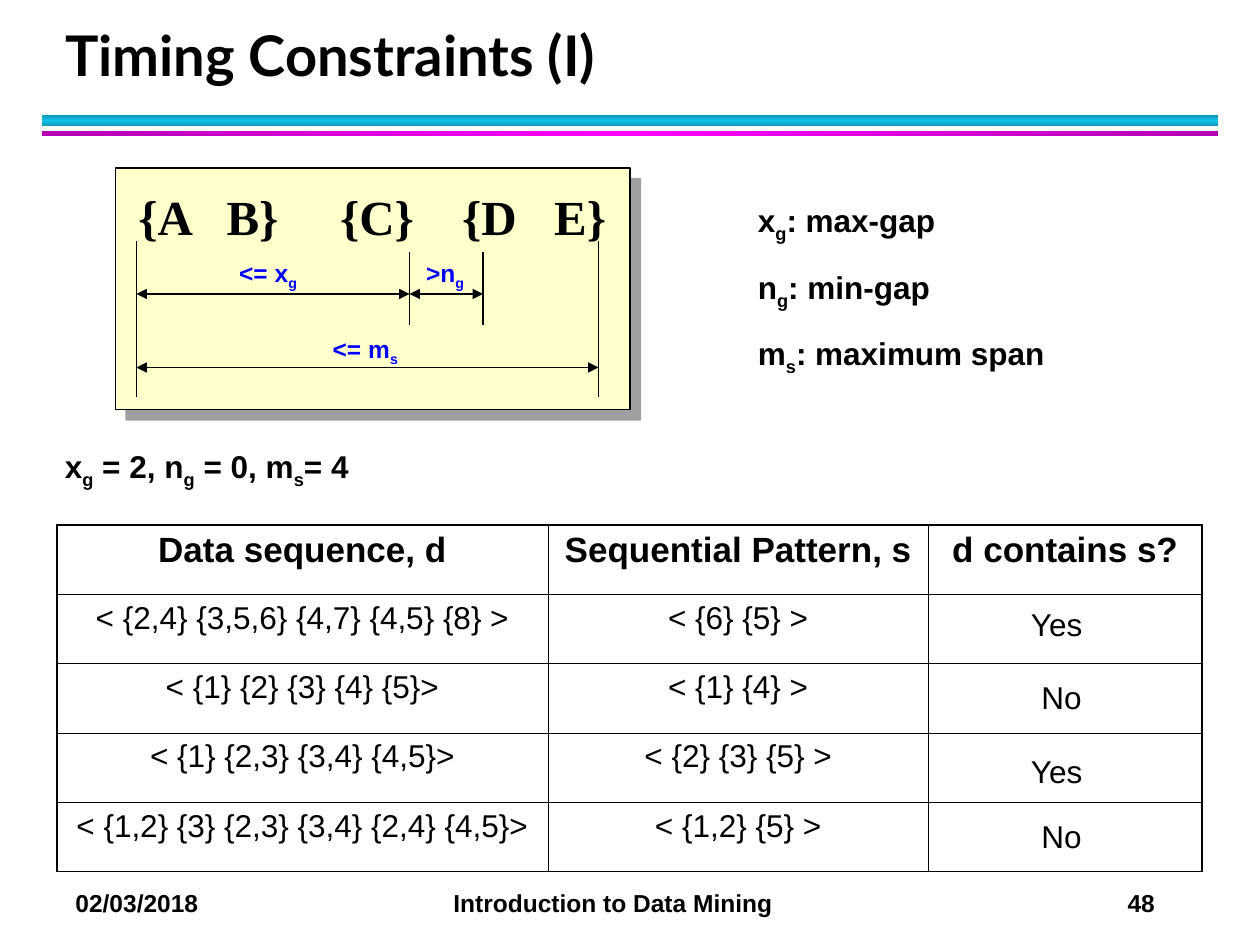
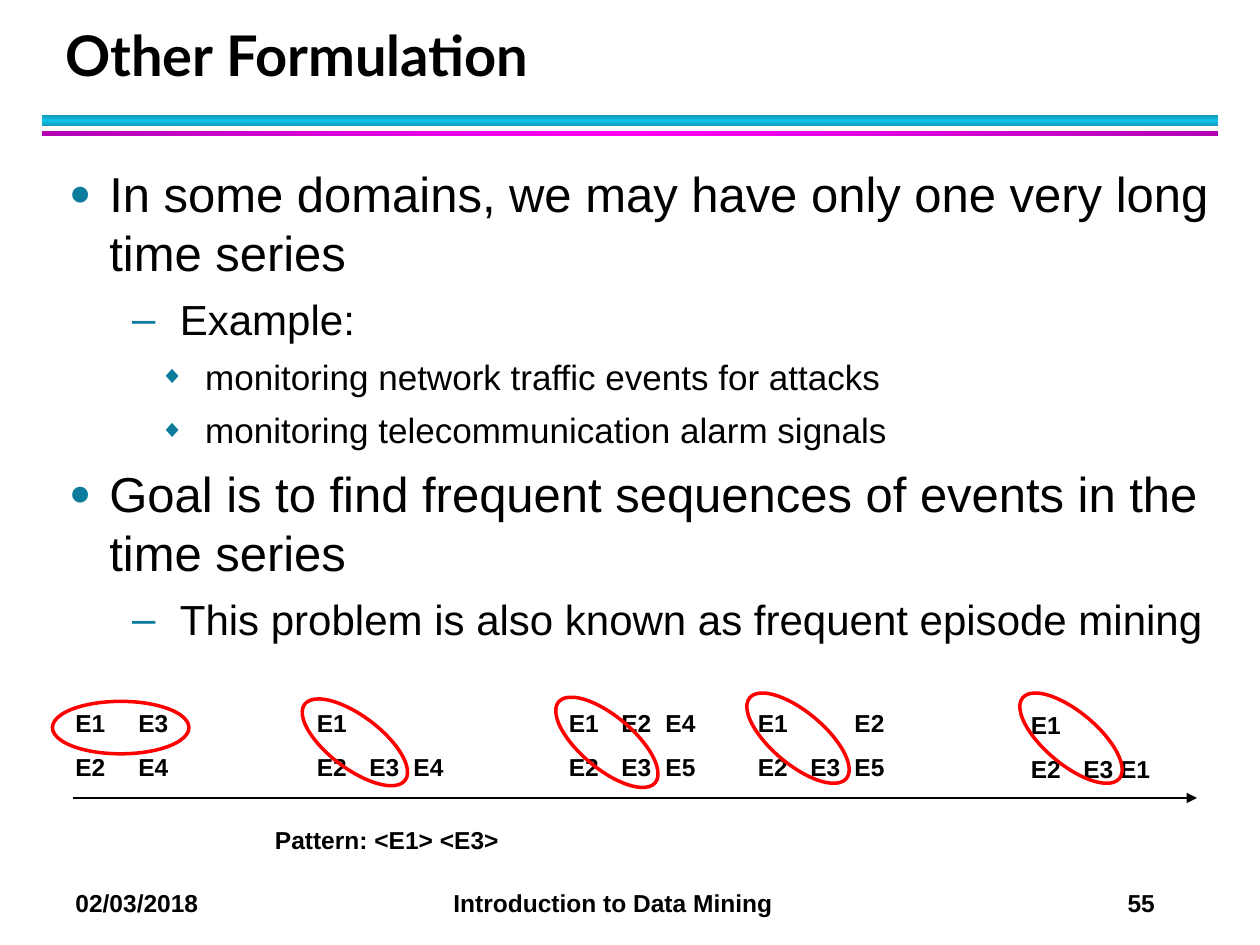
from copy import deepcopy

from lxml.etree import SubElement
from pptx import Presentation
from pptx.dml.color import RGBColor
from pptx.enum.shapes import MSO_CONNECTOR as Connector, MSO_SHAPE as Shape
from pptx.enum.text import MSO_ANCHOR as Anchor, MSO_AUTO_SIZE as AutoSize, PP_ALIGN as Align
from pptx.oxml.ns import qn
from pptx.util import Emu, Inches, Pt

STEP = Inches(1) / 12
BLACK, BLUE, RED, TEAL = "000000", "0000FF", "FF0000", "0C7B9C"
CREAM, SHADOW = "FFFFCC", "808080"
CYAN_BAND = ("0E9BBA", "12C2E9", "0E9BBA")
MAGENTA_BAND = ("B200B2", "FF00FF", "B200B2")

TITLE = {"size": Pt(32), "name": "Lato", "bold": True}
NOTE = {"size": Pt(18), "name": "Arial", "bold": True}
ANSWER = {"size": Pt(18), "name": "Arial", "bold": False}
HEADING = {"size": Pt(20), "name": "Arial", "bold": True}
SMALL = {"size": Pt(14), "name": "Arial", "bold": True}
SEQUENCE = {"size": Pt(28), "name": "Times New Roman", "bold": True}

BULLETS = (
    {"size": 28, "margin": 0.32, "indent": -0.32, "mark": "●", "scale": 75, "before": 3.5},
    {"size": 24, "margin": 0.88, "indent": -0.38, "mark": "–", "scale": 100, "before": 3},
    {"size": 20, "margin": 1.08, "indent": -0.36, "mark": "◆", "scale": 70, "before": 2.5},
)


def grid(*steps):
    """Turn counts of twelfths of an inch into lengths."""
    return [Emu(round(step * STEP)) for step in steps]


def rgb(color):
    """Turn a hex string into a colour."""
    return RGBColor.from_string(color)


def apply(target, values):
    """Set each named value on the target."""
    for name, value in values.items():
        setattr(target, name, value)


def add_tabs(para, stops):
    """Give a paragraph left tab stops, in inches."""
    tabs = SubElement(para._p.get_or_add_pPr(), qn("a:tabLst"))
    for stop in stops:
        SubElement(tabs, qn("a:tab"), pos=str(Inches(stop)), algn="l")


def write(frame, lines, style, color=BLACK, before=0, after=0, tabs=(), align=Align.LEFT):
    """Write lines in which ~marks~ enclose subscripts."""
    for index, line in enumerate(lines):
        para = frame.add_paragraph() if index else frame.paragraphs[0]
        apply(para, {"alignment": align, "space_after": Pt(after),
                     "space_before": Pt(before if index else 0)})
        if tabs:
            add_tabs(para, tabs)
        for part, text in enumerate(line.split("~")):
            span = para.add_run()
            span.text = text
            apply(span.font, style)
            span.font.color.rgb = rgb(color)
            if part % 2:
                span._r.get_or_add_rPr().set("baseline", "-25000")


def add_text(page, place, lines, style, wrap=True, fill=None, **layout):
    """Add a text box at a grid place."""
    box = page.shapes.add_textbox(*grid(*place))
    box.text_frame.word_wrap = wrap
    if fill:
        box.fill.solid()
        box.fill.fore_color.rgb = rgb(fill)
    write(box.text_frame, lines, style, **layout)
    return box


def add_shape(page, kind, place, line=None, weight=1, fill=None):
    """Add a flat preset shape at a grid place."""
    shape = page.shapes.add_shape(kind, *grid(*place))
    shape.shadow.inherit = False
    if fill:
        shape.fill.solid()
        shape.fill.fore_color.rgb = rgb(fill)
    else:
        shape.fill.background()
    if line:
        shape.line.color.rgb = rgb(line)
        shape.line.width = Pt(weight)
    else:
        shape.line.fill.background()
    return shape


def add_band(page, place, colors, angle):
    """Add a band with an even three-colour gradient."""
    band = add_shape(page, Shape.RECTANGLE, place)
    band.fill.gradient()
    band.fill.gradient_angle = angle
    stop_list = band._element.spPr.find(".//" + qn("a:gsLst"))
    stop_list.append(deepcopy(stop_list[0]))
    for index, (stop, color) in enumerate(zip(band.fill.gradient_stops, colors)):
        stop.position = index / 2
        stop.color.rgb = rgb(color)


def add_line(page, start, end, weight=0.75, arrows=()):
    """Add a straight line with arrowheads at the named ends."""
    line = page.shapes.add_connector(Connector.STRAIGHT, *grid(*start, *end))
    line.line.color.rgb = rgb(BLACK)
    line.line.width = Pt(weight)
    for end_name in arrows:
        SubElement(line.line._get_or_add_ln(), qn("a:" + end_name), type="triangle")
    SubElement(line._element.spPr, qn("a:effectLst"))


def cast_shadow(shape, color, opacity, distance, angle):
    """Give a shape a hard outer shadow."""
    effects = shape._element.spPr.find(qn("a:effectLst"))
    shadow = SubElement(effects, qn("a:outerShdw"), blurRad="0", dist=str(Pt(distance)),
                        dir=str(angle * 60000), algn="ctr", rotWithShape="0")
    tint = SubElement(shadow, qn("a:srgbClr"), val=color)
    SubElement(tint, qn("a:alpha"), val=str(opacity * 1000))


def add_page(deck, title, number):
    """Add a slide with the shared title, bands and footer."""
    page = deck.slides.add_slide(deck.slide_layouts[5])
    add_band(page, (4, 11, 112, 1), CYAN_BAND, 90)
    add_band(page, (4, 12.5, 112, 0.5), MAGENTA_BAND, 0)
    add_text(page, (6, 84, 112, 4.1), [f"02/03/2018\tIntroduction to Data Mining\t{number}"],
             SMALL, tabs=(3, 8.35))
    heading = page.shapes.title
    apply(heading, dict(zip(("left", "top", "width", "height"), grid(5, 2, 108.7, 7))))
    apply(heading.text_frame, {"vertical_anchor": Anchor.BOTTOM, "word_wrap": True,
                               "auto_size": AutoSize.NONE})
    write(heading.text_frame, [title], TITLE)
    heading.text_frame.paragraphs[0].line_spacing = Pt(36)
    return page


def set_borders(cell, weights):
    """Draw the left, right, top and bottom borders of a cell."""
    properties = cell._tc.get_or_add_tcPr()
    for index, (side, weight) in enumerate(zip("LRTB", weights)):
        border = SubElement(properties, qn("a:ln" + side), w=str(Pt(weight)))
        fill = SubElement(border, qn("a:solidFill"))
        SubElement(fill, qn("a:srgbClr"), val=BLACK)
        properties.insert(index, border)


def add_grid_table(page, place, widths, row_height, rows):
    """Add a plain table with a heavier outer frame."""
    size = (sum(widths), row_height * len(rows))
    table = page.shapes.add_table(len(rows), len(widths), *grid(*place, *size)).table
    apply(table, {"first_row": False, "horz_banding": False})
    for column, width in zip(table.columns, grid(*widths)):
        column.width = width
    last_row, last_column = len(rows) - 1, len(widths) - 1
    for r, row in enumerate(rows):
        for c, text in enumerate(row):
            cell = table.cell(r, c)
            apply(cell, dict.fromkeys(("margin_left", "margin_right"), Inches(0.1)))
            cell.fill.background()
            outer = (c == 0, c == last_column, r == 0, r == last_row)
            set_borders(cell, [1.08 if edge else 0.45 for edge in outer])
            if text:
                write(cell.text_frame, [text], ANSWER if r else HEADING,
                      after=4, align=Align.CENTER)


def add_bullets(page, place, items):
    """Add a bulleted outline from level and text pairs."""
    frame = add_text(page, place, [text for _, text in items], ANSWER, after=4).text_frame
    for index, (para, (level, _)) in enumerate(zip(frame.paragraphs, items)):
        look = BULLETS[level]
        if index:
            para.space_before = Pt(look["before"])
        para.level = level
        properties = para._p.get_or_add_pPr()
        properties.set("marL", str(Inches(look["margin"])))
        properties.set("indent", str(Inches(look["indent"])))
        tint = SubElement(properties, qn("a:buClr"))
        SubElement(tint, qn("a:srgbClr"), val=TEAL)
        SubElement(properties, qn("a:buSzPct"), val=str(look["scale"] * 1000))
        SubElement(properties, qn("a:buFont"), typeface="Arial")
        SubElement(properties, qn("a:buChar"), char=look["mark"])
        para.runs[0].font.size = Pt(look["size"])


def build_timing_constraints(deck):
    """Build the slide on gap and span constraints."""
    page = add_page(deck, "Timing Constraints (I)", 48)
    panel = add_shape(page, Shape.RECTANGLE, (11, 16, 49, 23), BLACK, 0.75, CREAM)
    cast_shadow(panel, SHADOW, 75, 8.5, 45)
    add_text(page, (12, 17.2, 47.4, 6.8), ["{A\tB}\t{C}\t{D\tE}"], SEQUENCE,
             fill=CREAM, tabs=(0.7, 1.6, 2.57, 3.3))
    for place, label in (((30.5, 31.2, 8.6, 4.4), "<= m~s~"),
                         ((21.6, 24, 7.9, 4.4), "<= x~g~"),
                         ((39.4, 24, 6, 4.4), ">n~g~")):
        add_text(page, place, [label], SMALL, wrap=False, fill=CREAM, color=BLUE)
    for left, right, level in ((13, 57, 35), (13, 39, 28), (39, 46, 28)):
        add_line(page, (left, level), (right, level), arrows=("headEnd", "tailEnd"))
    for column, top, bottom in ((13, 23, 37.8), (39, 24, 31), (46, 24, 31), (57, 23, 37.8)):
        add_line(page, (column, top), (column, bottom))
    add_text(page, (71, 18.6, 41, 18), ["x~g~: max-gap", "n~g~: min-gap", "m~s~: maximum span"],
             NOTE, before=2.2, after=11.2)
    add_grid_table(page, (5.4, 50), (46.8, 36.2, 26.1), 6.6, (
        ("Data sequence, d", "Sequential Pattern, s", "d contains s?"),
        ("< {2,4} {3,5,6} {4,7} {4,5} {8} >", "< {6} {5} >", ""),
        ("< {1} {2} {3} {4} {5}>", "< {1} {4} >", ""),
        ("< {1} {2,3} {3,4} {4,5}>", "< {2} {3} {5} >", ""),
        ("< {1,2} {3} {2,3} {3,4} {2,4} {4,5}>", "< {1,2} {5} >", ""),
    ))
    add_text(page, (5, 42, 103, 5.3), ["x~g~ = 2, n~g~ = 0, m~s~= 4"], NOTE)
    for left, top, answer in ((97, 57, "Yes"), (98, 64, "No"), (97, 71, "Yes"), (98, 77.2, "No")):
        add_text(page, (left, top, 10, 4.8), [answer], ANSWER)


def build_other_formulation(deck):
    """Build the slide on one long time series."""
    page = add_page(deck, "Other Formulation", 55)
    add_bullets(page, (5.4, 15, 111.6, 68), (
        (0, "In some domains, we may have only one very long time series"),
        (1, "Example:"),
        (2, "monitoring network traffic events for attacks"),
        (2, "monitoring telecommunication alarm signals"),
        (0, "Goal is to find frequent sequences of events in the time series"),
        (1, "This problem is also known as frequent episode mining"),
    ))
    add_line(page, (7, 76), (114, 76), weight=1, arrows=("tailEnd",))
    for left, top, events in (
        (6, 66.8, ("E1", "E2")), (12, 66.8, ("E3", "E4")),
        (29, 66.8, ("E1", "E2")), (34, 71, ("E3\tE4",)),
        (53, 66.8, ("E1", "E2")), (58, 66.8, ("E2\tE4", "E3\tE5")),
        (71, 66.8, ("E1", "E2")), (76, 66.8, ("\tE2", "E3\tE5")),
        (97, 67, ("E1", "E2")), (102, 71.2, ("E3 E1",)),
    ):
        width = 6 if len(events[0]) == 2 else 11
        add_text(page, (left, top, width, 4.1 * len(events)), events, SMALL,
                 before=8.8, tabs=(0.35,))
    add_text(page, (25, 78, 32, 4.1), ["Pattern: <E1> <E3>"], SMALL)
    add_shape(page, Shape.OVAL, (5, 66.8, 13, 5), RED, 2)
    for left, top, turn in ((27.8, 68.2, 37.1), (51.8, 68.2, 39.9),
                            (70, 67.8, 39.9), (96, 67.8, 39.9)):
        add_shape(page, Shape.OVAL, (left, top, 12, 5), RED, 2).rotation = turn


def main():
    """Build and save the deck."""
    deck = Presentation()
    apply(deck, dict(zip(("slide_width", "slide_height"), grid(120, 90))))
    build_timing_constraints(deck)
    build_other_formulation(deck)
    deck.save("out.pptx")


if __name__ == "__main__":
    main()
